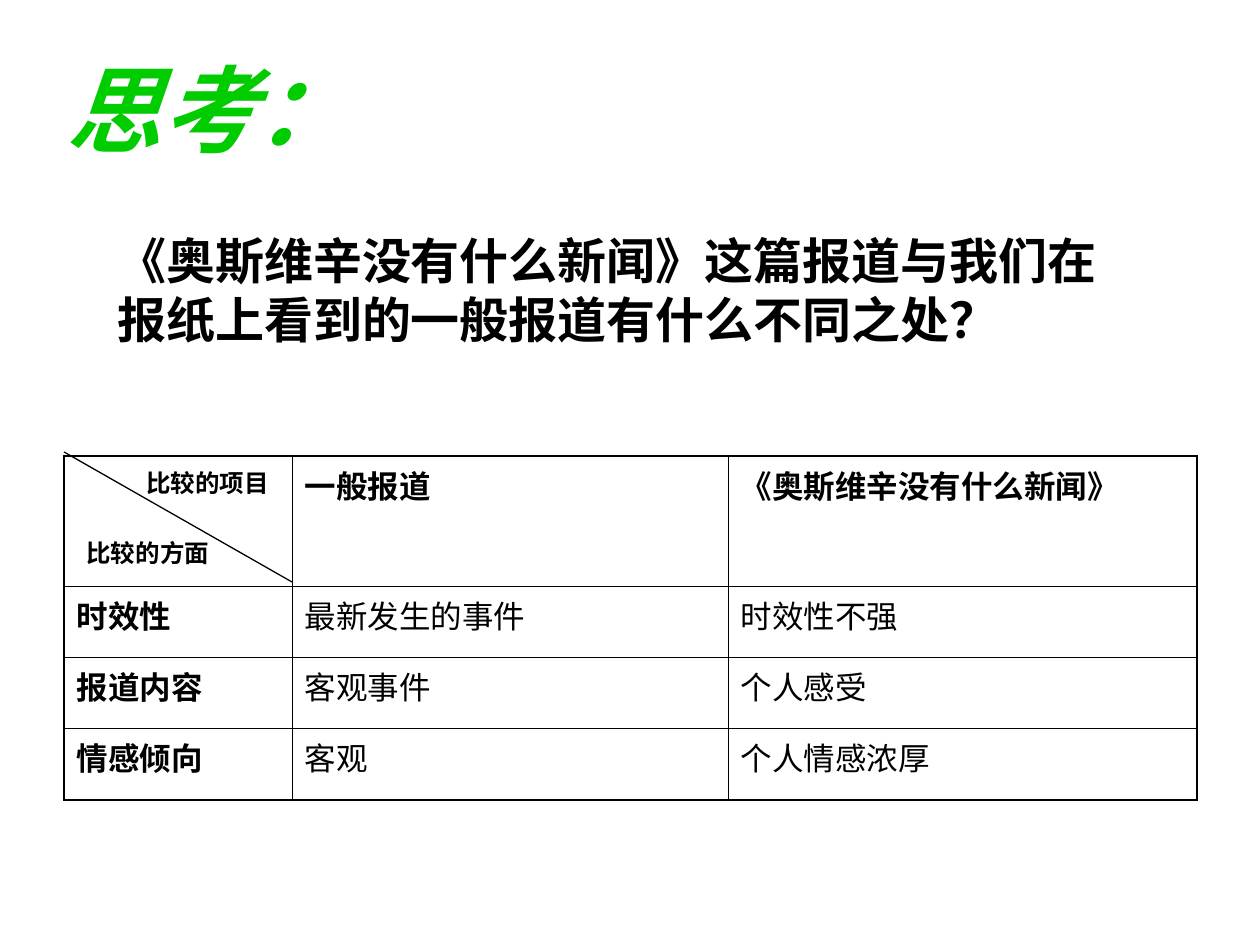
from lxml import etree
from pptx import Presentation
from pptx import util as u
from pptx.dml.color import RGBColor
from pptx.enum import shapes, text
from pptx.oxml.ns import qn

PX = 914400 / 126
BLACK = RGBColor(0x00, 0x00, 0x00)
GREEN = RGBColor(0x00, 0xCC, 0x00)
FONT = "Arial"
THIN, THICK = 0.45, 1.08

COLUMNS = [228, 436, 469]
ROWS = [130, 71, 71, 72]
COMPARISON = [
    ["", "一般报道", "《奥斯维辛没有什么新闻》"],
    ["时效性", "最新发生的事件", "时效性不强"],
    ["报道内容", "客观事件", "个人感受"],
    ["情感倾向", "客观", "个人情感浓厚"],
]


def px(length):
    return u.Emu(round(length * PX))


def write(frame, words, size, color=BLACK, bold=True, italic=False):
    paragraph = frame.paragraphs[0]
    paragraph.alignment = text.PP_ALIGN.LEFT
    run = paragraph.add_run()
    run.text = words
    font = run.font
    font.name, font.size = FONT, u.Pt(size)
    font.bold, font.italic = bold, italic
    font.color.rgb = color


def add_title(slide, words, left, top, width, height):
    title = slide.shapes.title
    title.left, title.top = px(left), px(top)
    title.width, title.height = px(width), px(height)
    title.text_frame.vertical_anchor = text.MSO_ANCHOR.TOP
    title.text_frame.auto_size = text.MSO_AUTO_SIZE.NONE
    write(title.text_frame, words, 54, GREEN, italic=True)


def add_label(slide, words, size, left, top, width, height):
    label = slide.shapes.add_textbox(px(left), px(top), px(width), px(height))
    label.text_frame.word_wrap = True
    write(label.text_frame, words, size)


def set_borders(cell, widths):
    properties = cell._tc.get_or_add_tcPr()
    for side, width in widths.items():
        border = etree.SubElement(properties, qn(f"a:ln{side}"), w=str(u.Pt(width)))
        fill = etree.SubElement(border, qn("a:solidFill"))
        etree.SubElement(fill, qn("a:srgbClr"), val=str(BLACK))


def add_comparison(slide, left, top):
    table = slide.shapes.add_table(
        len(ROWS), len(COLUMNS), px(left), px(top), px(sum(COLUMNS)), px(sum(ROWS))
    ).table
    table.first_row = table.horz_banding = False
    for column, width in zip(table.columns, COLUMNS):
        column.width = px(width)
    for row, height in zip(table.rows, ROWS):
        row.height = px(height)

    last_row, last_column = len(ROWS) - 1, len(COLUMNS) - 1
    for r, line in enumerate(COMPARISON):
        for c, words in enumerate(line):
            cell = table.cell(r, c)
            # Thick outer frame, thin inner grid
            set_borders(cell, {
                "L": THICK if c == 0 else THIN,
                "R": THICK if c == last_column else THIN,
                "T": THICK if r == 0 else THIN,
                "B": THICK if r == last_row else THIN,
            })
            cell.fill.background()
            if words:
                write(cell.text_frame, words, 18, bold=r == 0 or c == 0)


def add_diagonal(slide, x1, y1, x2, y2):
    diagonal = slide.shapes.add_connector(
        shapes.MSO_CONNECTOR.STRAIGHT, px(x1), px(y1), px(x2), px(y2)
    )
    diagonal.line.color.rgb = BLACK
    diagonal.line.width = u.Pt(0.75)
    etree.SubElement(diagonal._element.spPr, qn("a:effectLst"))


def main():
    deck = Presentation()
    deck.slide_width, deck.slide_height = u.Inches(10), u.Inches(7.5)
    slide = deck.slides.add_slide(deck.slide_layouts[5])

    # Heading and question
    add_title(slide, "思考：", 54, 45, 397, 126)
    add_label(slide, "《奥斯维辛没有什么新闻》这篇报道与我们在报纸上看到的一般报道有什么不同之处？",
              28, 105, 224, 1012, 131)

    # Comparison table with a split corner cell
    add_comparison(slide, 64, 456)
    add_diagonal(slide, 64, 452, 292, 582)
    add_label(slide, "比较的方面", 14, 74, 532, 198, 43)
    add_label(slide, "比较的项目", 14, 134, 462, 228, 43)

    deck.save("out.pptx")


if __name__ == "__main__":
    main()
